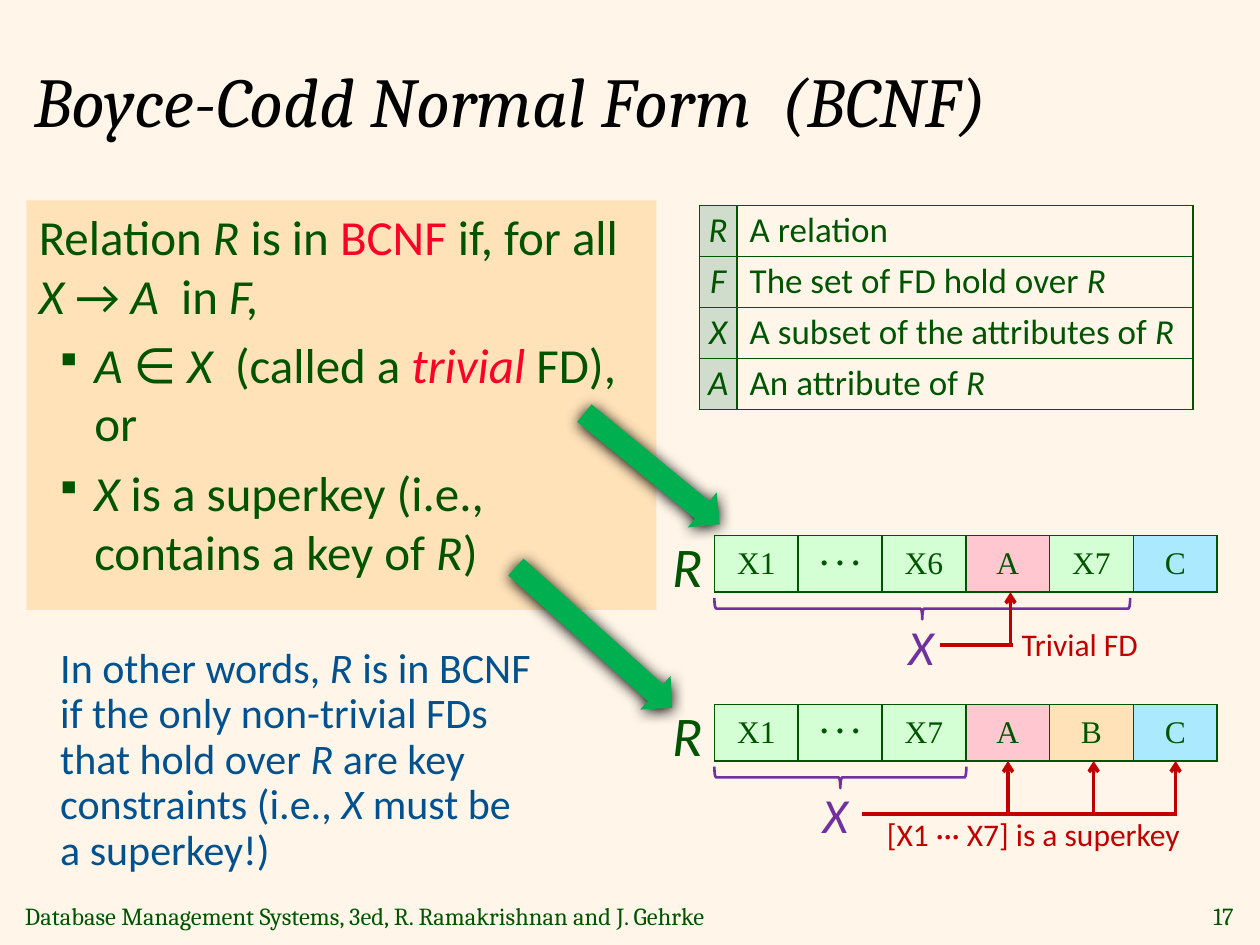
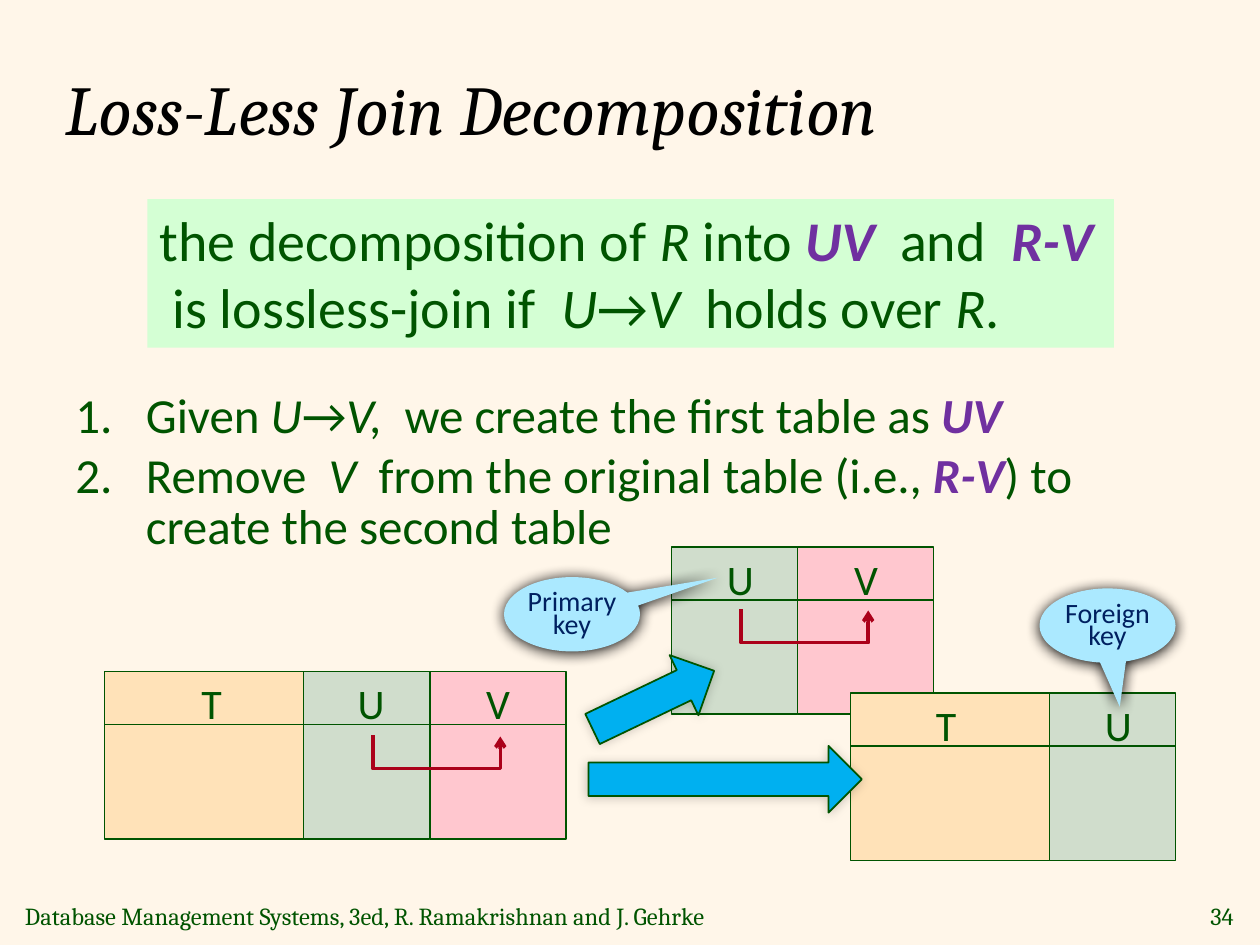
from lxml import etree
from pptx import Presentation
from pptx.dml.color import RGBColor
from pptx.enum.shapes import MSO_CONNECTOR, MSO_SHAPE
from pptx.enum.text import MSO_ANCHOR, MSO_AUTO_SIZE, PP_ALIGN
from pptx.oxml.ns import qn
from pptx.util import Inches, Pt

STRAIGHT, ELBOW = MSO_CONNECTOR.STRAIGHT, MSO_CONNECTOR.ELBOW
RECTANGLE, BRACE = MSO_SHAPE.RECTANGLE, MSO_SHAPE.LEFT_BRACE
RIGHT_ARROW, UP_ARROW = MSO_SHAPE.RIGHT_ARROW, MSO_SHAPE.UP_ARROW
CALLOUT = MSO_SHAPE.OVAL_CALLOUT
TOP, MIDDLE = MSO_ANCHOR.TOP, MSO_ANCHOR.MIDDLE
LEFT, CENTER, RIGHT = PP_ALIGN.LEFT, PP_ALIGN.CENTER, PP_ALIGN.RIGHT

CREAM, BLACK, GREEN, ORANGE = "FFF6E9", "000000", "005400", "FFE2B8"
MINT, SAGE, PINK, SKY = "D4FFD4", "D0DDCC", "FFC7CF", "ABE9FF"
PURPLE, RED, DARK_RED, CRIMSON = "7030A0", "FC0128", "C00000", "AB011A"
BLUE, NAVY, ARROW_GREEN, ARROW_BLUE = "00518E", "002060", "00B050", "00B0F0"

FOOTER = "Database Management Systems, 3ed, R. Ramakrishnan and J. Gehrke"
INSETS = (0.1, 0.05, 0.1, 0.05)
SIDES = ("margin_left", "margin_top", "margin_right", "margin_bottom")
KEY = {"color": PURPLE, "bold": True, "italic": True}
SOFT_SHADOW = (100, 8.5, 1, 90)
COLUMNS = {"T": (1.58, ORANGE, 0.37), "U": (1, SAGE, 0.42), "V": (1.08, PINK, 0.39)}


def paint(color):
    return RGBColor.from_string(color)


def style(size, color=GREEN, name="Calibri", **extra):
    return {"size": Pt(size), "color": color, "name": name, **extra}


def child(parent, tag, **attributes):
    node = etree.SubElement(parent, qn(tag))
    for key, value in attributes.items():
        node.set(key, str(value))
    return node


class Slides:
    def __init__(self):
        self.deck = Presentation()
        self.deck.slide_width, self.deck.slide_height = Inches(10), Inches(7.5)
        fill = self.deck.slide_master.background.fill
        fill.solid()
        fill.fore_color.rgb = paint(CREAM)
        self.page = None

    def add_page(self, title, place, number):
        self.page = self.deck.slides.add_slide(self.deck.slide_layouts[5])
        box = self.page.shapes.title
        box.left, box.top, box.width, box.height = map(Inches, place)
        self.fill_text(box, [[title]], style(40, BLACK, "Cambria", italic=True), anchor=MIDDLE)
        small = style(14, name="Cambria")
        self.text((0.1, 7.1, 6.13, 0.33), [[FOOTER]], small, anchor=MIDDLE, wrap=False)
        self.text((9.45, 7.1, 0.44, 0.33), [[str(number)]], small,
                  align=RIGHT, anchor=MIDDLE, wrap=False)

    def add_spans(self, para, items, base):
        for item in items:
            words, change = (item, {}) if isinstance(item, str) else item
            for index, piece in enumerate(words.split("_")):
                if not piece:
                    continue
                values = {**base, **change}
                if index % 2:
                    values["italic"] = True
                span = para.add_run()
                span.text = piece
                span.font.color.rgb = paint(values.pop("color"))
                for key, value in values.items():
                    setattr(span.font, key, value)

    def fill_text(self, box, paragraphs, base, align=LEFT, anchor=TOP, wrap=True,
                  insets=INSETS, formats=()):
        frame = box.text_frame
        frame.auto_size = MSO_AUTO_SIZE.NONE
        frame.word_wrap = wrap
        frame.vertical_anchor = anchor
        for side, inset in zip(SIDES, insets):
            setattr(frame, side, Inches(inset))
        for index, items in enumerate(paragraphs):
            para = frame.add_paragraph() if index else frame.paragraphs[0]
            para.alignment = align
            values = dict(formats[index]) if formats else {}
            if "mark" in values:
                self.bullet(para, *values.pop("mark"))
            for key, value in values.items():
                setattr(para, key, value)
            self.add_spans(para, items, base)

    def bullet(self, para, kind, indent, hang):
        properties = para._p.get_or_add_pPr()
        properties.set("marL", str(Inches(indent)))
        properties.set("indent", str(-Inches(hang)))
        child(child(properties, "a:buClr"), "a:srgbClr", val=GREEN)
        if kind == "number":
            child(properties, "a:buFont", typeface="+mj-lt")
            child(properties, "a:buAutoNum", type="arabicPeriod")
        else:
            child(properties, "a:buSzPct", val=75000)
            child(properties, "a:buChar", char=kind)
            child(child(properties, "a:tabLst"), "a:tab", pos=Inches(indent), algn="l")

    def text(self, place, paragraphs, base, **options):
        box = self.page.shapes.add_textbox(*map(Inches, place))
        self.fill_text(box, paragraphs, base, **options)

    def shape(self, kind, place, fill=None, line=None, width=1, rotation=0,
              adjust=(), shadow=None):
        box = self.page.shapes.add_shape(kind, *map(Inches, place))
        box.rotation = rotation
        for index, value in enumerate(adjust):
            box.adjustments[index] = value
        if fill:
            box.fill.solid()
            box.fill.fore_color.rgb = paint(fill)
        else:
            box.fill.background()
        if line:
            box.line.color.rgb = paint(line)
            box.line.width = Pt(width)
        else:
            box.line.fill.background()
        box.shadow.inherit = False
        if shadow:
            alpha, blur, distance, angle = shadow
            effects = box._element.spPr.find(qn("a:effectLst"))
            outer = child(effects, "a:outerShdw", blurRad=Pt(blur), dist=Pt(distance),
                          dir=angle * 60000, algn="ctr", rotWithShape=0)
            child(child(outer, "a:srgbClr", val=BLACK), "a:alpha", val=alpha * 1000)
        return box

    def line(self, start, end, color=GREEN, width=1, arrow=False, kind=STRAIGHT):
        connector = self.page.shapes.add_connector(kind, *map(Inches, (*start, *end)))
        connector.line.color.rgb = paint(color)
        connector.line.width = Pt(width)
        if arrow:
            child(connector.line._get_or_add_ln(), "a:tailEnd", type="arrow")
        child(connector._element.spPr, "a:effectLst")
        return connector

    def dependency(self, left, top, width=1.01, depth=0.27):
        thin, middle = 0.01, left + width / 2
        connector = self.line((middle - thin / 2, top - width / 2),
                              (middle + thin / 2, top + width / 2), CRIMSON, 2, True, ELBOW)
        properties = connector._element.spPr
        frame = properties.find(qn("a:xfrm"))
        frame.set("rot", str(270 * 60000))
        frame.set("flipH", "1")
        guides = properties.find(qn("a:prstGeom")).find(qn("a:avLst"))
        child(guides, "a:gd", name="adj1", fmla=f"val {round(depth / thin * 100000)}")

    def table(self, place, widths, rows):
        frame = self.page.shapes.add_table(len(rows), len(widths), *map(Inches, place))
        grid = frame.table
        grid.first_row = grid.horz_banding = False
        for column, width in zip(grid.columns, widths):
            column.width = Inches(width)
        for row, cells in zip(grid.rows, rows):
            row.height = Inches(place[3] / len(rows))
            for cell, values in zip(row.cells, cells):
                self.cell(cell, *values)

    def cell(self, cell, items, base, fill, align, insets):
        properties = cell._tc.get_or_add_tcPr()
        for side in "LRTB":
            edge = child(properties, f"a:ln{side}", w=Pt(1))
            child(child(edge, "a:solidFill"), "a:srgbClr", val=GREEN)
        if fill:
            cell.fill.solid()
            cell.fill.fore_color.rgb = paint(fill)
        else:
            cell.fill.background()
        for side, inset in zip(SIDES, insets):
            setattr(cell, side, Inches(inset))
        cell.vertical_anchor = MIDDLE
        para = cell.text_frame.paragraphs[0]
        para.alignment = align
        self.add_spans(para, items, base)

    def relation(self, top, names, fills, brace_width, key_left):
        serif = style(18, name="Times New Roman")
        cells = [([name], {**serif, "bold": name == ". . ."}, fill, CENTER,
                  (0.1, 0, 0.1, 0.15) if name == ". . ." else INSETS)
                 for name, fill in zip(names, fills)]
        self.table((5.67, top, 3.99, 0.45), [3.99 / 6] * 6, [cells])
        self.text((5.23, top - 0.08, 0.45, 0.64), [["_R_"]], style(32),
                  align=CENTER, wrap=False)
        thin = 0.17
        self.shape(BRACE, (5.67 + (brace_width - thin) / 2, top + 0.58 - brace_width / 2,
                           thin, brace_width),
                   line=PURPLE, width=1.5, rotation=270, adjust=(0.08, 0.5))
        self.text((key_left, top + 0.59, 0.4, 0.57), [["_X_"]], style(28, PURPLE),
                  align=CENTER, wrap=False)

    def schema(self, left, top, label_offsets):
        for name, offset in label_offsets.items():
            width, fill, label_width = COLUMNS[name]
            self.shape(RECTANGLE, (left, top, width, 1.33), fill, GREEN)
            self.line((left, top + 0.42), (left + width, top + 0.42))
            self.text((left + offset, top, label_width, 0.51), [[name]], style(24), wrap=False)
            left += width

    def callout(self, left, top, words, adjust):
        box = self.shape(CALLOUT, (left, top, 1.08, 0.59), SKY, adjust=adjust,
                         shadow=SOFT_SHADOW)
        self.fill_text(box, [[words]], style(16, NAVY), align=CENTER, anchor=MIDDLE,
                       insets=(0, 0.05, 0, 0), formats=[{"line_spacing": Pt(13)}])


def normal_form_page(slides):
    slides.add_page("Boyce-Codd Normal Form  (BCNF)", (0.17, 0.33, 8.5, 0.92), 17)
    red = {"color": RED}
    square = ("▪", 0.44, 0.31)
    definition = slides.shape(RECTANGLE, (0.21, 1.59, 5, 3.25), ORANGE)
    slides.fill_text(definition, [
        ["Relation _R_ is in ", ("BCNF", red), " if, for all _X _→ _A_  in _F,_"],
        ["_A _∈ _X_  (called a ", ("_trivial_", red), " FD), or"],
        ["_X_ is a superkey (i.e., contains a key of _R_)"],
    ], style(28), formats=[
        {},
        {"mark": square, "space_before": Pt(5.6), "space_after": Pt(6)},
        {"mark": square, "space_after": Pt(12)},
    ])

    legend = {"R": "A relation", "F": "The set of FD hold over _R_",
              "X": "A subset of the attributes of _R_", "A": "An attribute of _R_"}
    slides.table((5.55, 1.63, 3.92, 1.62), (0.3, 3.62), [
        [([f"_{symbol}_"], style(20), SAGE, CENTER, (0, 0, 0, 0)),
         ([meaning], style(20), None, LEFT, (0.1, 0, 0, 0))]
        for symbol, meaning in legend.items()])

    slides.relation(5.59, ("X1", ". . .", "X7", "A", "B", "C"),
                    (MINT, MINT, MINT, PINK, ORANGE, SKY), 2, 6.43)
    slides.relation(4.25, ("X1", ". . .", "X6", "A", "X7", "C"),
                    (MINT, MINT, MINT, PINK, MINT, SKY), 3.3, 7.11)

    slides.line((7.46, 5.12), (8.04, 5.12), DARK_RED, 2.25)
    slides.line((8.02, 5.12), (8.02, 4.7), DARK_RED, 2, True)
    slides.line((6.84, 6.46), (9.34, 6.46), DARK_RED, 2.25)
    for target in (8, 8.68, 9.33):
        slides.line((target, 6.46), (target, 6.04), DARK_RED, 2, True)
    for place, words in (((8.01, 4.91, 1.14, 0.4), "Trivial FD"),
                         ((6.94, 6.42, 2.55, 0.4), "[X1 ··· X7] is a superkey")):
        slides.text(place, [[words]], style(18, DARK_RED), wrap=False)

    for place, rotation in (((4.48, 3.54, 1.39, 0.36), 39.4), ((3.88, 4.88, 1.67, 0.36), 42)):
        slides.shape(RIGHT_ARROW, place, ARROW_GREEN, rotation=rotation, shadow=SOFT_SHADOW)
    slides.text((0.38, 5.08, 3.94, 1.93), [[
        "In other words, _R_ is in BCNF if the only non-trivial FDs that hold over _R_"
        " are key constraints (i.e., _X_ must be a superkey!)"]],
        style(24, BLUE), formats=[{"line_spacing": Pt(26)}])


def decomposition_page(slides):
    slides.add_page("Loss-Less Join Decomposition", (0.42, 0.25, 8.5, 1.21), 34)
    number = ("number", 0.56, 0.56)
    slides.text((0.5, 3, 8.5, 3.58), [
        ["Given _U_→_V,  _we create the first table as ", ("UV", KEY)],
        ["Remove  _V _ from the original table (i.e., ", ("R-V", KEY),
         ") to create the second table"],
    ], style(28), formats=[
        {"mark": number},
        {"mark": number, "line_spacing": Pt(29), "space_before": Pt(5.6)},
    ])
    rule = slides.shape(RECTANGLE, (1.17, 1.58, 7.67, 1.18), MINT)
    slides.fill_text(rule, [[
        "the decomposition of _R_ into ", ("UV", KEY), "  and  ", ("R-V", KEY),
        "  is lossless-join if  _U_→_V_  holds over _R_."]], style(32))

    slides.schema(5.33, 4.34, {"U": 0.34, "V": 0.35})
    slides.dependency(5.88, 4.84)
    slides.schema(0.83, 5.33, {"T": 0.67, "U": 0.33, "V": 0.35})
    slides.dependency(2.96, 5.84)
    slides.schema(6.75, 5.5, {"T": 0.58, "U": 0.34})

    for place, rotation, shadow in (((4.92, 5.02, 0.53, 1.07), 64.4, (20, 6, 0, 315)),
                                    ((5.49, 5.1, 0.53, 2.17), 90, (20, 6, 1, 135))):
        slides.shape(UP_ARROW, place, ARROW_BLUE, GREEN, rotation=rotation,
                     adjust=(0.5, 0.5), shadow=shadow)
    slides.callout(8.25, 4.67, "Foreign key", (0.09, 1.09))
    slides.callout(4, 4.58, "Primary key", (1.07, -0.49))


def main():
    slides = Slides()
    normal_form_page(slides)
    decomposition_page(slides)
    slides.deck.save("out.pptx")


if __name__ == "__main__":
    main()
